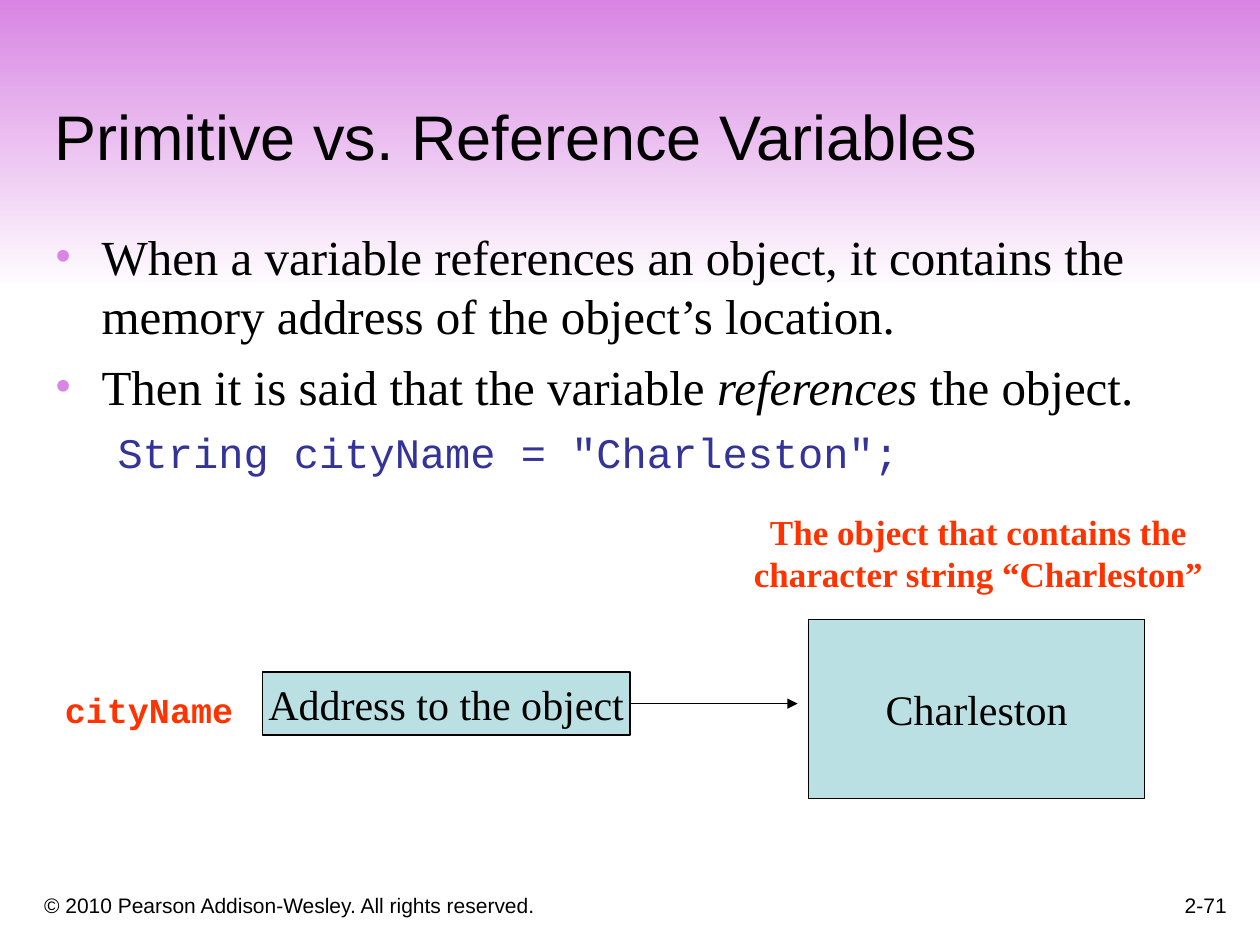
import lxml.etree
import pptx
import pptx.dml.color
import pptx.enum.shapes
import pptx.enum.text
import pptx.oxml.ns
import pptx.util

Cm, Pt = pptx.util.Cm, pptx.util.Pt
ALIGN = pptx.enum.text.PP_ALIGN
ANCHOR = pptx.enum.text.MSO_ANCHOR
RECTANGLE = pptx.enum.shapes.MSO_SHAPE.RECTANGLE

COLORS = {"orchid": "D885E3", "white": "FFFFFF", "black": "000000",
          "box": "BBE0E3", "code": "333399", "label": "FF3300"}
SLIDE_SIZE = (25.4, 19.05)
BANNER = (0, 0, 25.4, 5.9)

# name: (font, points, color, bold)
STYLES = {
    "title": ("Arial", 36, "black", False),
    "footer": ("Arial", 12, "black", False),
    "body": ("Times New Roman", 28, "black", False),
    "code": ("Courier New", 24, "code", False),
    "box": ("Times New Roman", 24, "black", False),
    "variable": ("Courier New", 20, "label", True),
    "caption": ("Times New Roman", 20, "label", True),
}

BOTTOM_FRAME = {"word_wrap": True, "vertical_anchor": ANCHOR.BOTTOM}
LABEL_FRAME = {"word_wrap": False,
               "auto_size": pptx.enum.text.MSO_AUTO_SIZE.SHAPE_TO_FIT_TEXT}

# (style, (left, top, width, height), lines, frame format, alignment)
TEXTS = [
    ("title", (0.85, 0.85, 23.92, 2.77), ["Primitive vs. Reference Variables"],
     BOTTOM_FRAME, ALIGN.LEFT),
    ("footer", (0.64, 17.57, 15.45, 1.06),
     ["© 2010 Pearson Addison-Wesley. All rights reserved."],
     BOTTOM_FRAME, ALIGN.LEFT),
    ("footer", (19.69, 17.36, 5.29, 1.27), ["2-71"], BOTTOM_FRAME, ALIGN.RIGHT),
    ("variable", (1.06, 13.75, 3.95, 1.11), ["cityName"], LABEL_FRAME, ALIGN.LEFT),
    ("caption", (14.94, 10.16, 9.57, 1.96),
     ["The object that contains the", "character string “Charleston”"],
     LABEL_FRAME, ALIGN.CENTER),
]

BODY_PLACE = (0.85, 4.45, 23.03, 6.56)
# (style, level, left margin, first-line indent, space before, bullet, runs as (text, italic))
BODY = [
    ("body", 0, 0.95, -0.95, 0, "•",
     [("When a variable references an object, it contains the memory address "
       "of the object’s location.", False)]),
    ("body", 0, 0.95, -0.95, 7, "•",
     [("Then it is said that the variable ", False), ("references", True),
      (" the object.", False)]),
    ("code", 1, 2.06, -0.79, 6, None,
     [('String cityName = "Charleston";', False)]),
]

OBJECT_BOX = (16.3, 12.49, 6.78, 3.61)
ADDRESS_BOX = (5.29, 13.55, 7.41, 1.27)
BOXES = [(OBJECT_BOX, "Charleston"), (ADDRESS_BOX, "Address to the object")]
ARROW_GAP = 0.22


def rgb(name):
    return pptx.dml.color.RGBColor.from_string(COLORS[name])


def lengths(values):
    return [Cm(value) for value in values]


def apply(target, values):
    for name, value in values.items():
        setattr(target, name, value)


def style_font(font, style, italic=False):
    name, points, color, bold = STYLES[style]
    apply(font, {"name": name, "size": Pt(points), "bold": bold, "italic": italic})
    font.color.rgb = rgb(color)


def add_element(parent, tag, **attributes):
    element = lxml.etree.SubElement(parent, pptx.oxml.ns.qn(tag))
    for name, value in attributes.items():
        element.set(name, value)
    return element


def fill_lines(frame, lines, style, alignment):
    for index, line in enumerate(lines):
        paragraph = frame.paragraphs[0] if index == 0 else frame.add_paragraph()
        paragraph.alignment = alignment
        run = paragraph.add_run()
        run.text = line
        style_font(run.font, style)


def add_banner(slide):
    banner = slide.shapes.add_shape(RECTANGLE, *lengths(BANNER))
    banner.shadow.inherit = False
    banner.line.fill.background()
    banner.fill.gradient()
    banner.fill.gradient_angle = 270
    for stop, color, position in zip(banner.fill.gradient_stops,
                                     ("orchid", "white"), (0, 1)):
        stop.color.rgb = rgb(color)
        stop.position = position


def add_body(slide):
    frame = slide.shapes.add_textbox(*lengths(BODY_PLACE)).text_frame
    apply(frame, {"word_wrap": True, "margin_right": 0})
    for index, (style, level, margin, indent, before, bullet, runs) in enumerate(BODY):
        paragraph = frame.paragraphs[0] if index == 0 else frame.add_paragraph()
        apply(paragraph, {"level": level, "space_before": Pt(before)})
        properties = paragraph._p.get_or_add_pPr()
        properties.set("marL", str(Cm(margin)))
        properties.set("indent", str(Cm(indent)))
        if bullet:
            bullet_color = add_element(properties, "a:buClr")
            add_element(bullet_color, "a:srgbClr", val=COLORS["orchid"])
            add_element(properties, "a:buFont", typeface=STYLES[style][0])
            add_element(properties, "a:buChar", char=bullet)
        else:
            add_element(properties, "a:buNone")
        for text, italic in runs:
            run = paragraph.add_run()
            run.text = text
            style_font(run.font, style, italic)


def add_box(slide, place, text):
    box = slide.shapes.add_shape(RECTANGLE, *lengths(place))
    box.shadow.inherit = False
    box.fill.solid()
    box.fill.fore_color.rgb = rgb("box")
    box.line.color.rgb = rgb("black")
    box.line.width = Pt(0.75)
    apply(box.text_frame, {"word_wrap": False, "vertical_anchor": ANCHOR.MIDDLE})
    fill_lines(box.text_frame, [text], "box", ALIGN.CENTER)


def add_reference_arrow(slide):
    """Point from the right edge of the address box to just before the object box."""
    left, top, width, height = ADDRESS_BOX
    middle = top + height / 2
    arrow = slide.shapes.add_connector(
        pptx.enum.shapes.MSO_CONNECTOR.STRAIGHT,
        *lengths((left + width, middle, OBJECT_BOX[0] - ARROW_GAP, middle)))
    arrow.line.color.rgb = rgb("black")
    arrow.line.width = Pt(0.75)
    add_element(arrow.line._get_or_add_ln(), "a:tailEnd", type="triangle")
    add_element(arrow._element.spPr, "a:effectLst")


def main():
    presentation = pptx.Presentation()
    width, height = lengths(SLIDE_SIZE)
    apply(presentation, {"slide_width": width, "slide_height": height})
    slide = presentation.slides.add_slide(presentation.slide_layouts[6])
    add_banner(slide)
    for style, place, lines, frame_format, alignment in TEXTS:
        frame = slide.shapes.add_textbox(*lengths(place)).text_frame
        apply(frame, frame_format)
        fill_lines(frame, lines, style, alignment)
    add_body(slide)
    for place, text in BOXES:
        add_box(slide, place, text)
    add_reference_arrow(slide)
    presentation.save("out.pptx")


if __name__ == "__main__":
    main()
